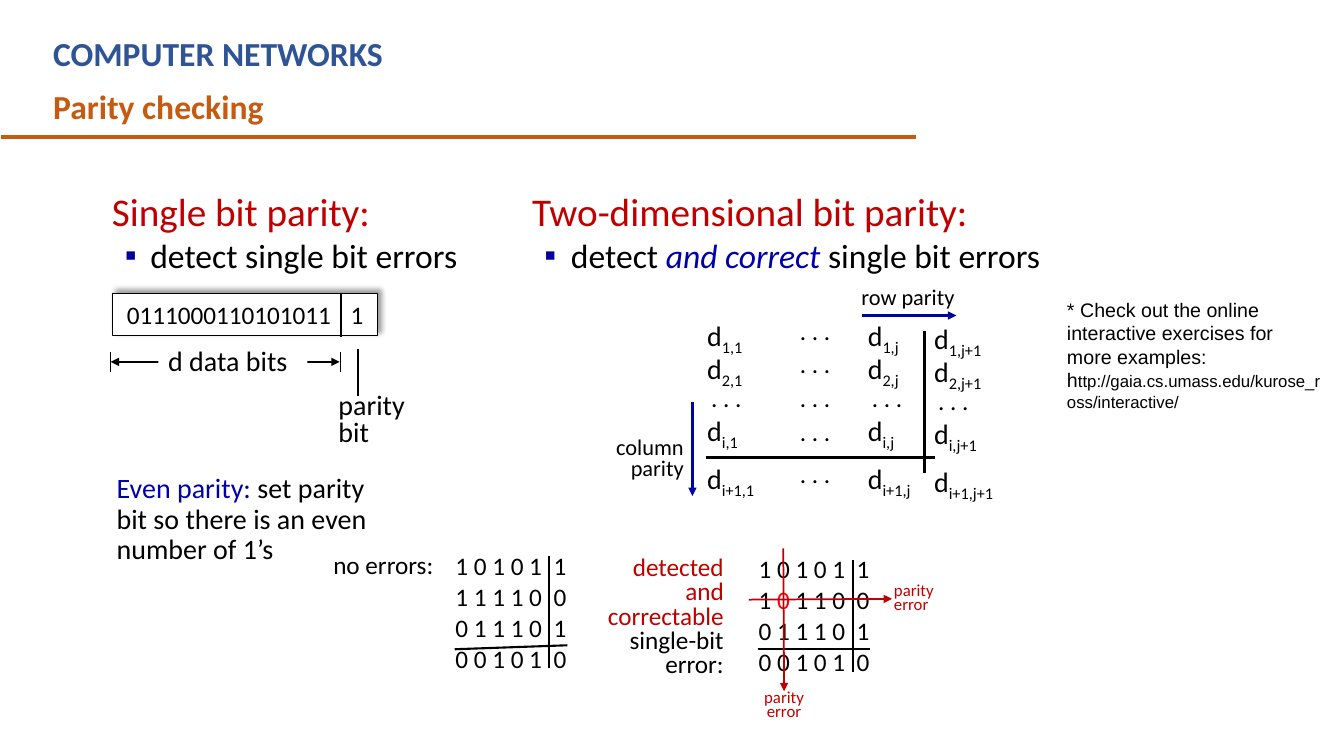
"""Build the slide that explains single and two-dimensional parity checking."""
from lxml.etree import SubElement
from pptx import Presentation
from pptx.dml.color import RGBColor
from pptx.enum.shapes import MSO_CONNECTOR as Connector, MSO_SHAPE as Shape
from pptx.enum.text import MSO_ANCHOR as Anchor, MSO_AUTO_SIZE as AutoSize, PP_ALIGN as Align
from pptx.oxml import parse_xml
from pptx.oxml.ns import nsdecls, qn
from pptx.util import Cm, Pt

BLACK = RGBColor(0x00, 0x00, 0x00)
WHITE = RGBColor(0xFF, 0xFF, 0xFF)
CRIMSON = RGBColor(0xC0, 0x00, 0x00)
COLON_RED = RGBColor(0xCC, 0x00, 0x00)
BIT_RED = RGBColor(0xFF, 0x00, 0x00)
BLUE = RGBColor(0x00, 0x00, 0xA8)
TITLE_BLUE = RGBColor(0x2F, 0x54, 0x96)
ORANGE = RGBColor(0xC5, 0x5A, 0x11)


class ParitySlide:
    """Hold the text style and the slide being drawn."""

    font = "Calibri"

    def __init__(self, slide):
        self.slide = slide

    def text(self, left, top, width, height, paragraphs, size=18, color=BLACK,
             align=Align.LEFT, spacing=None, fill=None, tab=None, **style):
        """Add a text box; each paragraph is a string or a list of (text, style) runs."""
        area = Cm(left), Cm(top), Cm(width), Cm(height)
        if fill is None:
            shape = self.slide.shapes.add_textbox(*area)
        else:
            shape = self.rectangle(*area, fill)
        frame = shape.text_frame
        frame.word_wrap = True
        frame.auto_size = AutoSize.SHAPE_TO_FIT_TEXT
        frame.vertical_anchor = Anchor.TOP
        for index, runs in enumerate(paragraphs):
            paragraph = frame.add_paragraph() if index else frame.paragraphs[0]
            paragraph.alignment = align
            if spacing:
                paragraph.line_spacing = spacing
            if tab:
                stops = SubElement(paragraph._p.get_or_add_pPr(), qn("a:tabLst"))
                SubElement(stops, qn("a:tab"), pos=str(Cm(tab)), algn="l")
            for words, changes in [(runs, {})] if isinstance(runs, str) else runs:
                self.run(paragraph, words, **{"size": size, "color": color, **style, **changes})
        return frame

    def run(self, paragraph, words, size, color, bold=False, italic=False,
            subscript=False, font=None):
        """Add one styled run."""
        run = paragraph.add_run()
        run.text = words
        run.font.name = font or self.font
        run.font.size = Pt(size)
        run.font.bold = bold
        run.font.italic = italic
        run.font.color.rgb = color
        if subscript:
            run._r.get_or_add_rPr().set("baseline", "-25000")

    def rectangle(self, left, top, width, height, fill):
        """Add a filled rectangle without outline or shadow."""
        shape = self.slide.shapes.add_shape(Shape.RECTANGLE, left, top, width, height)
        shape.shadow.inherit = False
        shape.fill.solid()
        shape.fill.fore_color.rgb = fill
        shape.line.fill.background()
        return shape

    def bit_frame(self, left, top, width, height):
        """Add the outlined, shadowed frame around the data bits."""
        shape = self.rectangle(Cm(left), Cm(top), Cm(width), Cm(height), WHITE)
        shape.line.color.rgb = BLACK
        shape.line.width = Pt(1)
        shape._element.spPr.find(qn("a:effectLst")).append(parse_xml(
            f'<a:outerShdw {nsdecls("a")} blurRad="{Pt(4)}" dist="{Pt(3)}" dir="18900000" '
            'algn="bl" rotWithShape="0"><a:srgbClr val="000000"><a:alpha val="40000"/>'
            '</a:srgbClr></a:outerShdw>'))

    def line(self, x1, y1, x2, y2, width, color=BLACK, ends=()):
        """Add a line, with triangles at the named ends."""
        line = self.slide.shapes.add_connector(
            Connector.STRAIGHT, Cm(x1), Cm(y1), Cm(x2), Cm(y2))
        line.line.color.rgb = color
        line.line.width = Pt(width)
        for end in ends:
            SubElement(line.line._get_or_add_ln(), qn(f"a:{end}"), type="triangle")
        SubElement(line._element.spPr, qn("a:effectLst"))

    def topic(self, left, width, heading, point, margin, hanging):
        """Add a red heading with one bulleted point below it."""
        frame = self.text(left, 4.6, width, 2.49, [heading, point], size=24)
        properties = frame.paragraphs[1]._p.get_or_add_pPr()
        properties.set("marL", str(Cm(margin)))
        properties.set("indent", str(-Cm(hanging)))
        color = SubElement(properties, qn("a:buClr"))
        SubElement(color, qn("a:srgbClr"), val="000099")
        SubElement(properties, qn("a:buFont"), typeface="Arial")
        SubElement(properties, qn("a:buChar"), char="▪")

    def matrix(self):
        """Add the general parity matrix with its dots and rules."""
        rows = {"1": 7.9, "2": 8.73, "i": 10.3, "i+1": 11.51}
        columns = {"1": (17.57, 0), "j": (21.62, 0), "j+1": (23.29, 0.08)}
        for column, (left, shift) in columns.items():
            for row, top in rows.items():
                width = 2.16 if row == "i+1" else 1.93
                self.text(left, top + shift, width, 1.12, [
                    [("d", {}), (f"{row},{column}", {"subscript": True})]], size=20)
            self.text(left + 0.1, 9.5 + shift, 1.75, 1.02, [". . ."])
        for top in (7.82, 8.66, 9.5, 10.36, 11.43):
            self.text(19.91, top, 1.75, 1.02, [". . ."])
        self.line(17.78, 11.53, 23.57, 11.53, 2)
        self.line(23.29, 11.91, 23.29, 8.33, 2)

    def bit_block(self, left, top, rows):
        """Add four rows of bits, each with its parity bit after a tab."""
        for index, row in enumerate(rows):
            self.text(left, top + 0.78 * index, 3.35, 1.02, [row], tab=2.47)


def main():
    """Draw and save the slide."""
    presentation = Presentation()
    presentation.slide_width, presentation.slide_height = Cm(33.87), Cm(19.05)
    page = ParitySlide(presentation.slides.add_slide(presentation.slide_layouts[6]))

    page.text(1.09, 0.71, 20.83, 1.27, ["COMPUTER NETWORKS"], 24, TITLE_BLUE, bold=True)
    page.text(1.09, 2.03, 6.05, 1.27, ["Parity checking"], 24, ORANGE, bold=True)
    page.line(0.03, 3.45, 23.09, 3.45, 3, ORANGE)

    heading = {"size": 28, "color": CRIMSON}
    page.topic(2.57, 9.35,
               [("Single bit parity", heading), (":", {"size": 28, "color": COLON_RED})],
               "detect single bit errors", 0.97, 0.64)
    page.topic(13.16, 13.64, [("Two-dimensional bit parity:", heading)],
               [("detect ", {}), ("and correct ", {"color": BLUE, "italic": True}),
                ("single bit errors", {})], 0.98, 0.67)

    page.bit_frame(2.84, 7.39, 6.68, 1.07)
    page.text(2.95, 7.42, 5.72, 1.02, ["0111000110101011"])
    page.text(8.59, 7.42, 0.84, 1.02, ["1"])
    page.line(8.59, 7.42, 8.59, 8.48, 1)
    page.line(2.79, 9.12, 8.56, 9.12, 1.75, ends=("headEnd", "tailEnd"))
    for x in (2.79, 8.59):
        page.line(x, 8.86, x, 9.37, 0.75)
    page.text(3.99, 8.69, 3.76, 0.97, ["d data bits"], 20, spacing=0.8, fill=WHITE)
    page.text(8.28, 9.8, 3.76, 1.65, ["parity", "bit"], 20, spacing=0.8, fill=WHITE)
    page.line(9.02, 8.79, 9.02, 9.98, 1)
    page.text(2.69, 11.84, 7.59, 2.57, [
        [("Even parity: ", {"color": BLUE}),
         ("set parity bit so there is an even number of 1’s", {})]], 20, spacing=0.9)

    page.matrix()
    page.text(21.46, 7.01, 2.95, 0.94, ["row parity"], 16)
    page.line(21.72, 7.95, 24.1, 7.95, 1.75, BLUE, ["tailEnd"])
    page.text(15.24, 10.92, 2.24, 1.37, ["column", "parity"], 16, align=Align.RIGHT, spacing=0.8)
    page.line(17.45, 10.13, 17.45, 12.5, 1.75, BLUE, ["tailEnd"])

    first, second, third, last = "1 0 1 0 1\t1", "1 1 1 1 0\t0", "0 1 1 1 0\t1", "0 0 1 0 1\t0"
    page.text(8.15, 13.72, 3.07, 1.02, ["no errors:"])
    page.bit_block(11.23, 13.74, [first, second, third, last])
    page.line(11.46, 16.36, 14.3, 16.26, 1.5)
    page.line(13.84, 16.84, 13.84, 14.02, 1.5)

    flipped = [("1 ", {}), ("0", {"color": BIT_RED}), (" 1 1 0\t0", {})]
    page.text(14.58, 13.92, 3.91, 3.35, [
        "detected", "and", "correctable",
        [("single-bit", {"color": BLACK})], [("error:", {"color": BLACK})]],
        color=CRIMSON, align=Align.RIGHT, spacing=0.8)
    page.bit_block(18.87, 13.82, [first, flipped, third, last])
    page.line(19.1, 16.36, 21.92, 16.36, 1.5)
    page.line(21.49, 16.94, 21.49, 14.1, 1.5)
    page.line(18.87, 15.11, 22.48, 15.09, 1.25, CRIMSON, ["tailEnd"])
    page.line(19.74, 13.82, 19.76, 17.42, 1.25, CRIMSON, ["tailEnd"])
    for left, top, align in ((18.97, 17.32, Align.CENTER), (22.28, 14.63, Align.LEFT)):
        page.text(left, top, 1.58, 0.99, ["parity", "error"], 12, CRIMSON, align, 0.7)

    page.text(26.64, 7.37, 6.96, 3.18, [
        [("* Check out the online interactive exercises for more examples: h", {}),
         ("ttp://gaia.cs.umass.edu/kurose_ross/interactive/", {"size": 12})]],
        14, font="Arial")
    presentation.save("out.pptx")


if __name__ == "__main__":
    main()
